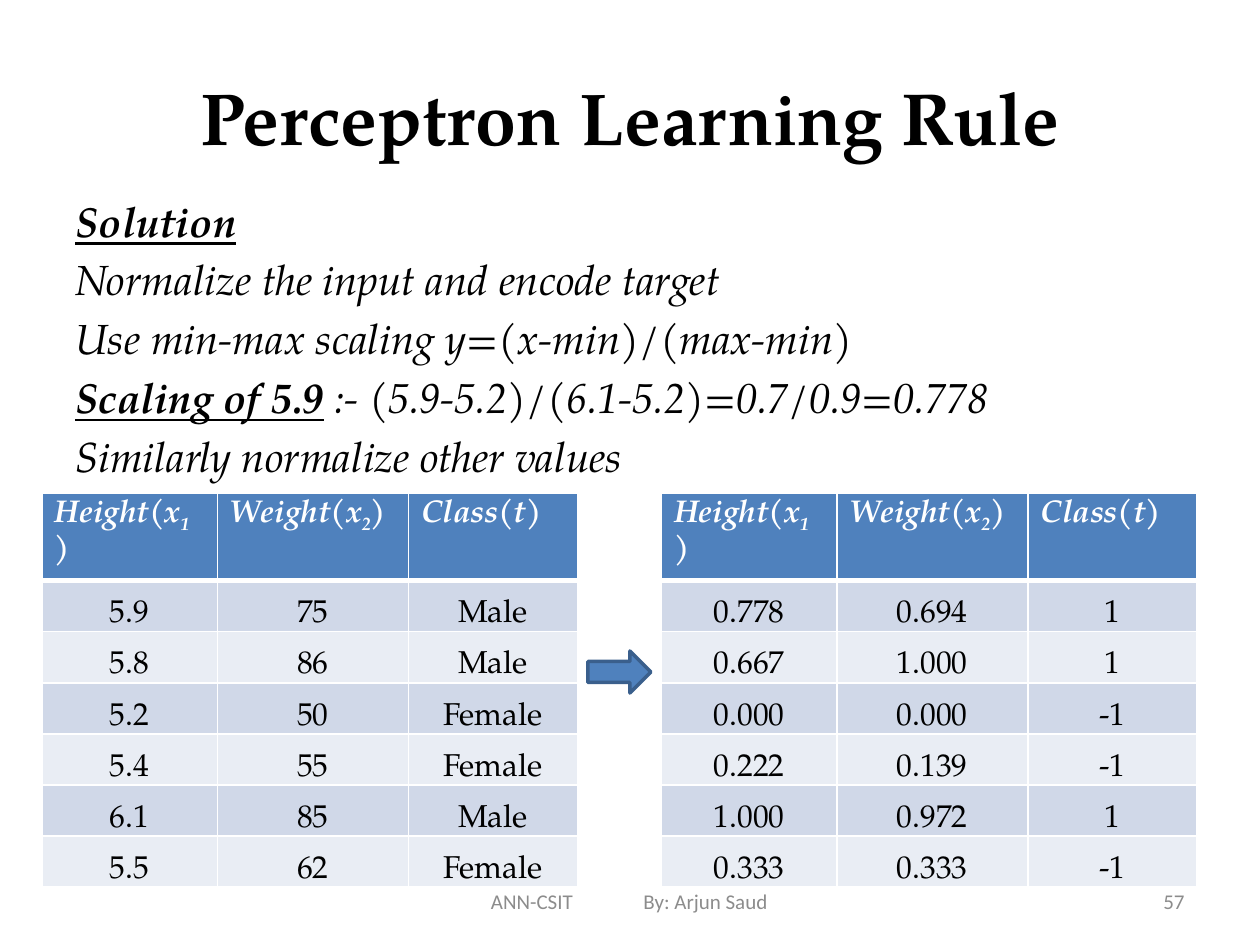
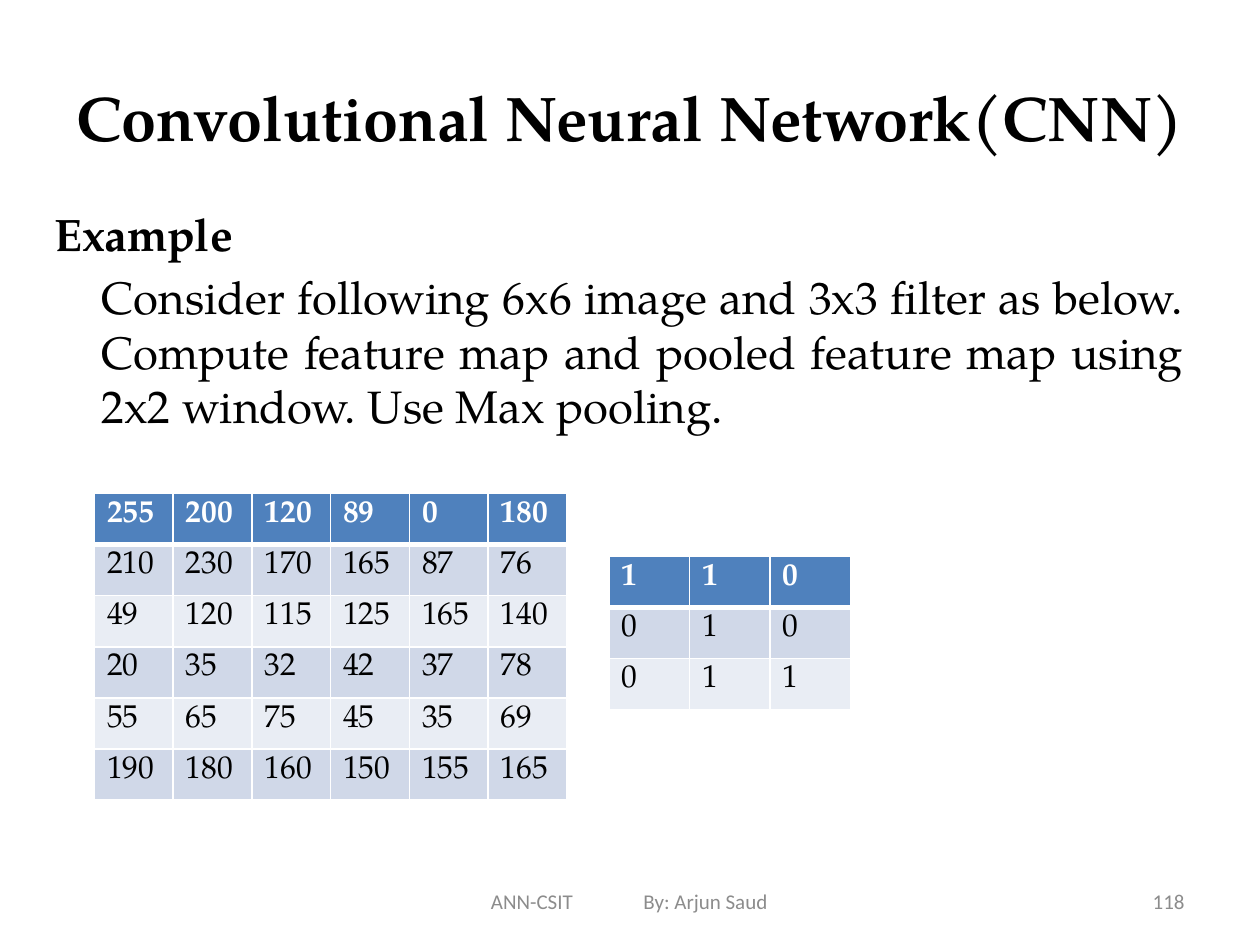
import pptx
import pptx.util
import pptx.dml.color
import pptx.enum.text
import pptx.enum.shapes
import pptx.oxml.ns
import lxml.etree

SERIF, SANS = "TeX Gyre Pagella", "Calibri"
BLACK, WHITE, GREY = "000000", "FFFFFF", "8C8C8C"
BLUE, EDGE = "4F81BD", "3A5F8C"
BANDS = ["D0D8E8", "E9EDF4"]
UNIT = pptx.util.Inches(1) / 12
ROW = 4.87
INDENT = 4.5
ALIGN = pptx.enum.text.PP_ALIGN
ANCHOR = pptx.enum.text.MSO_ANCHOR
SHAPE = pptx.enum.shapes.MSO_SHAPE

PEOPLE = [
    (5.9, 75, "Male"), (5.8, 86, "Male"), (5.2, 50, "Female"),
    (5.4, 55, "Female"), (6.1, 85, "Male"), (5.5, 62, "Female"),
]
HEADS = [
    [("Height(x", "bi"), ("1", "bi_"), (")", "bi")],
    [("Weight(x", "bi"), ("2", "bi_"), (")", "bi")],
    [("Class(t)", "bi")],
]
IMAGE = [
    (255, 200, 120, 89, 0, 180),
    (210, 230, 170, 165, 87, 76),
    (49, 120, 115, 125, 165, 140),
    (20, 35, 32, 42, 37, 78),
    (55, 65, 75, 45, 35, 69),
    (190, 180, 160, 150, 155, 165),
]
FILTER = [(1, 1, 0), (0, 1, 0), (0, 1, 1)]


def grid(*cells):
    return [round(cell * UNIT) for cell in cells]


def color(code):
    return pptx.dml.color.RGBColor.from_string(code)


def node(parent, tag, **marks):
    child = lxml.etree.SubElement(parent, pptx.oxml.ns.qn(tag))
    for name, value in marks.items():
        child.set(name, str(value))
    return child


def write(para, runs, size, ink=BLACK, face=SERIF):
    for text, marks in runs:
        run = para.add_run()
        run.text = text
        font = run.font
        font.name, font.size = face, pptx.util.Pt(size)
        font.color.rgb = color(ink)
        font.bold, font.italic = "b" in marks, "i" in marks
        font.underline = "u" in marks
        if "_" in marks:
            run._r.get_or_add_rPr().set("baseline", "-25000")


def box(slide, place, anchor=ANCHOR.MIDDLE):
    frame = slide.shapes.add_textbox(*grid(*place)).text_frame
    frame.word_wrap = True
    frame.vertical_anchor = anchor
    return frame


def title(slide, text, size):
    para = box(slide, (6, 3.6, 108, 15)).paragraphs[0]
    para.alignment = ALIGN.CENTER
    write(para, [(text, "b")], size)


def body(slide, place, lines, size):
    frame = box(slide, place, ANCHOR.TOP)
    for index, (hang, runs) in enumerate(lines):
        para = frame.paragraphs[0] if index == 0 else frame.add_paragraph()
        para.alignment = ALIGN.JUSTIFY
        para.space_before = pptx.util.Pt(round(size * 0.2, 1))
        left, = grid(INDENT)
        props = para._p.get_or_add_pPr()
        props.set("marL", str(left))
        props.set("indent", str(-left if hang else 0))
        write(para, runs, size)


def footer(slide, number):
    para = box(slide, (86, 83.4, 28, 4.8)).paragraphs[0]
    para.alignment = ALIGN.RIGHT
    write(para, [(str(number), "")], 12, GREY, SANS)
    frame = box(slide, (41, 83.4, 38, 4.8))
    frame.margin_left = pptx.util.Inches(0.48)
    para = frame.paragraphs[0]
    tabs = node(para._p.get_or_add_pPr(), "a:tabLst")
    node(tabs, "a:tab", pos=pptx.util.Inches(1.21), algn="l")
    write(para, [("ANN-CSIT\tBy: Arjun Saud", "")], 12, GREY, SANS)


def border(cell, row):
    props = cell._tc.get_or_add_tcPr()
    thick = {"T": row == 1, "B": row == 0}
    for side in "LRTB":
        width = pptx.util.Pt(3 if thick.get(side) else 1)
        line = node(props, "a:ln" + side, w=width)
        node(node(line, "a:solidFill"), "a:srgbClr", val=WHITE)


def table(slide, left, top, widths, heads, rows, center=False):
    lines = [heads] + [[[(str(item), "")] for item in row] for row in rows]
    place = grid(left, top, sum(widths), ROW * len(lines))
    chart = slide.shapes.add_table(len(lines), len(widths), *place).table
    for column, width in zip(chart.columns, grid(*widths)):
        column.width = width
    for r, line in enumerate(lines):
        chart.rows[r].height = grid(ROW)[0]
        for c, runs in enumerate(line):
            cell = chart.cell(r, c)
            border(cell, r)
            cell.fill.solid()
            cell.fill.fore_color.rgb = color(BANDS[(r - 1) % 2] if r else BLUE)
            cell.margin_bottom = 0
            para = cell.text_frame.paragraphs[0]
            if r and center:
                cell.vertical_anchor = ANCHOR.BOTTOM
                cell.margin_left = cell.margin_right = pptx.util.Inches(0.01)
                cell.margin_top = pptx.util.Inches(0.01)
                para.alignment = ALIGN.CENTER
            write(para, runs, 18, BLACK if r else WHITE)


def matrix(slide, left, top, width, values):
    heads = [[(str(value), "b")] for value in values[0]]
    widths = [width / len(heads)] * len(heads)
    table(slide, left, top, widths, heads, values[1:])


def arrow(slide, place):
    shape = slide.shapes.add_shape(SHAPE.RIGHT_ARROW, *grid(*place))
    shape.shadow.inherit = False
    shape.fill.solid()
    shape.fill.fore_color.rgb = color(BLUE)
    shape.line.color.rgb = color(EDGE)
    shape.line.width = pptx.util.Pt(2)


def scale(values):
    low, high = min(values), max(values)
    return [f"{(value - low) / (high - low):.3f}" for value in values]


def rule(slide):
    title(slide, "Perceptron Learning Rule", 42)
    lines = [
        [("Solution", "biu")],
        [("Normalize the input and encode target", "i")],
        [("Use min-max scaling y=(x-min)/(max-min)", "i")],
        [("Scaling of 5.9", "biu"),
         (" :- (5.9-5.2)/(6.1-5.2)=0.7/0.9=0.778", "i")],
        [("Similarly normalize other values", "i")],
    ]
    body(slide, (6, 18, 108, 66), [(True, runs) for runs in lines], 24)
    heights, weights, kinds = zip(*PEOPLE)
    codes = [1 if kind == "Male" else -1 for kind in kinds]
    scaled = list(zip(scale(heights), scale(weights), codes))
    for left, rows in ((4, PEOPLE), (63, scaled)):
        table(slide, left, 47, (16.7, 18.2, 16.1), HEADS, rows, True)
    arrow(slide, (56, 62, 6, 4))
    footer(slide, 57)


def network(slide):
    title(slide, "Convolutional Neural Network(CNN)", 36)
    task = ("Consider following 6x6 image and 3x3 filter as below. "
            "Compute feature map and pooled feature map using 2x2 window. "
            "Use Max pooling.")
    lines = [(True, [("Example", "b")]), (False, [(task, "")])]
    body(slide, (4, 19, 110, 64), lines, 26)
    footer(slide, 118)
    matrix(slide, 9, 47, 45, IMAGE)
    matrix(slide, 58, 53, 23, FILTER)


def main():
    deck = pptx.Presentation()
    deck.slide_width, deck.slide_height = grid(120, 90)
    for draw in (rule, network):
        draw(deck.slides.add_slide(deck.slide_layouts[6]))
    deck.save("out.pptx")


if __name__ == "__main__":
    main()
